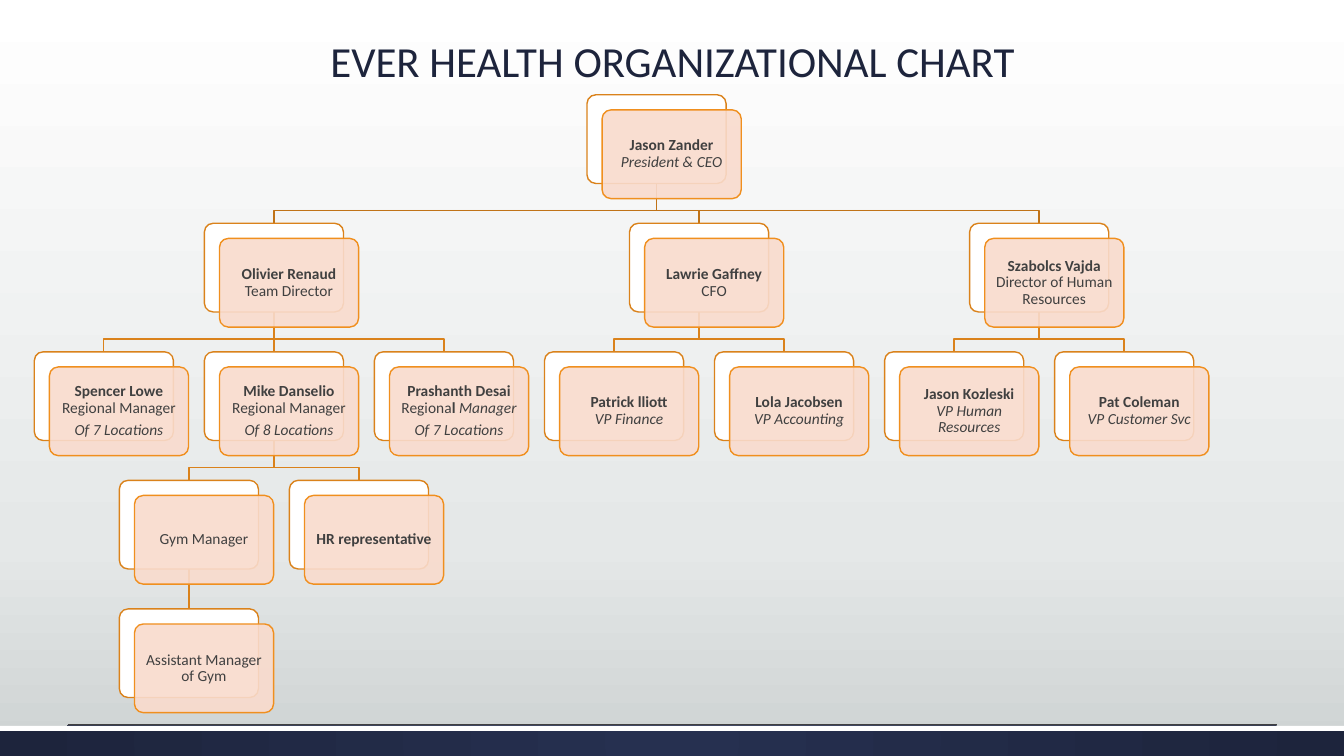
import copy

import pptx
import pptx.dml.color
import pptx.enum.shapes
import pptx.enum.text
import pptx.oxml.ns
import pptx.util
from lxml import etree

Inches, Pt = pptx.util.Inches, pptx.util.Pt
RGBColor = pptx.dml.color.RGBColor
SHAPE = pptx.enum.shapes.MSO_SHAPE
ANCHOR = pptx.enum.text.MSO_ANCHOR
qn = pptx.oxml.ns.qn

WHITE = RGBColor(0xFF, 0xFF, 0xFF)
MIST = RGBColor(0xE5, 0xE8, 0xE8)
SILVER = RGBColor(0xCD, 0xD2, 0xD2)
NAVY = RGBColor(0x1D, 0x24, 0x3C)
SLATE = RGBColor(0x26, 0x30, 0x50)
GRAY = RGBColor(0x40, 0x40, 0x40)
PEACH = RGBColor(0xF9, 0xDB, 0xCD)
ORANGE = RGBColor(0xF0, 0x8F, 0x1E)
AMBER = RGBColor(0xDA, 0x82, 0x1B)
BROWN = RGBColor(0xC0, 0x73, 0x18)

# Chart grid: columns and levels are evenly spaced
LEFT, TOP = 0.34, 0.94
COLUMN_STEP = (10.46 - LEFT) / 6
LEVEL_STEP = (6.04 - TOP) / 4
CARD_WIDTH, CARD_HEIGHT = 1.38, 0.88
FRONT_OFFSET = 0.15
BEND = 0.27

# Each post: key -> (column, level, manager, paragraphs of (text, style))
POSTS = {
    "ceo": (3.25, 0, None, [[("Jason Zander\n", "b"), ("President & CEO", "i")]]),
    "team": (1, 1, "ceo", [[("Olivier Renaud\n", "b"), ("Team Director", "")]]),
    "cfo": (3.5, 1, "ceo", [[("Lawrie Gaffney\n", "b"), ("CFO", "")]]),
    "people": (5.5, 1, "ceo", [[("Szabolcs Vajda\n", "b"),
                                ("Director of Human Resources", "")]]),
    "region 1": (0, 2, "team", [[("Spencer Lowe\n", "b"), ("Regional Manager", "")],
                                [("Of 7 Locations", "i")]]),
    "region 2": (1, 2, "team", [[("Mike Danselio\n", "b"), ("Regional Manager", "")],
                                [("Of 8 Locations", "i")]]),
    "region 3": (2, 2, "team", [[("Prashanth Desai\n", "b"), ("Regiona", ""),
                                 ("l ", "b"), ("Manager", "i")],
                                [("Of 7 Locations", "i")]]),
    "finance": (3, 2, "cfo", [[("Patrick lliott\n", "b"), ("VP Finance", "i")]]),
    "accounting": (4, 2, "cfo", [[("Lola Jacobsen\n", "b"), ("VP Accounting", "i")]]),
    "human": (5, 2, "people", [[("Jason Kozleski\n", "b"), ("VP Human Resources", "i")]]),
    "customer": (6, 2, "people", [[("Pat Coleman\n", "b"), ("VP Customer Svc", "i")]]),
    "gym": (0.5, 3, "region 2", [[("Gym Manager", "")]]),
    "hr": (1.5, 3, "region 2", [[("HR representative", "b")]]),
    "assistant": (0.5, 4, "gym", [[("Assistant Manager of Gym", "")]]),
}


def write(frame, paragraphs, size=11, color=GRAY, font="Calibri",
          anchor=ANCHOR.MIDDLE, inset=0.08, space_after=0):
    """Fill a text frame with centred paragraphs of (text, style) spans."""
    frame.word_wrap = True
    frame.vertical_anchor = anchor
    frame.margin_left = frame.margin_right = Inches(inset)
    frame.margin_top = frame.margin_bottom = Inches(inset)
    for index, spans in enumerate(paragraphs):
        para = frame.add_paragraph() if index else frame.paragraphs[0]
        para.alignment = pptx.enum.text.PP_ALIGN.CENTER
        para.line_spacing = 0.9
        para.space_after = Pt(space_after)
        for text, style in spans:
            span = para.add_run()
            span.text = text.rstrip("\n")
            span.font.name, span.font.size = font, Pt(size)
            span.font.color.rgb = color
            span.font.bold, span.font.italic = "b" in style, "i" in style
            if text.endswith("\n"):
                # The break takes the format of the span before it
                para.add_line_break()
                line_break = para._p.findall(qn("a:br"))[-1]
                line_break.append(copy.deepcopy(span.font._element))


def paint_gradient(fill, owner, stops, radial=False):
    """Give a fill any number of (position, colour) stops."""
    fill.gradient()
    gradient = owner.find(".//" + qn("a:gradFill"))
    gradient.clear()
    stop_list = etree.SubElement(gradient, qn("a:gsLst"))
    for position, color in stops:
        stop = etree.SubElement(stop_list, qn("a:gs"), pos=str(position * 1000))
        etree.SubElement(stop, qn("a:srgbClr"), val=str(color))
    if radial:
        circle = etree.SubElement(gradient, qn("a:path"), path="circle")
        etree.SubElement(circle, qn("a:fillToRect"),
                         l="50000", t="50000", r="50000", b="50000")
    else:
        etree.SubElement(gradient, qn("a:lin"), ang="5400000", scaled="0")


class ChartSlide:
    def __init__(self, deck):
        self.slide = deck.slides.add_slide(deck.slide_layouts[6])
        self.shapes = self.slide.shapes
        self.line_width = Pt(1)

    def background(self, stops):
        paint_gradient(self.slide.background.fill, self.slide.element, stops)

    def box(self, kind, left, top, width, height, fill=None, line=None):
        box = self.shapes.add_shape(kind, Inches(left), Inches(top),
                                    Inches(width), Inches(height))
        box.shadow.inherit = False
        if fill is not None:
            box.fill.solid()
            box.fill.fore_color.rgb = fill
        if line is None:
            box.line.fill.background()
        else:
            box.line.color.rgb = line
            box.line.width = self.line_width
        return box

    def rule(self, left, right, top, color):
        rule = self.shapes.add_connector(
            pptx.enum.shapes.MSO_CONNECTOR.STRAIGHT,
            Inches(left), Inches(top), Inches(right), Inches(top))
        rule.line.color.rgb = color
        rule.line.width = Pt(0.75)
        etree.SubElement(rule.element.spPr, qn("a:effectLst"))

    def title(self, text, left, top, width, height):
        box = self.shapes.add_textbox(Inches(left), Inches(top),
                                      Inches(width), Inches(height))
        write(box.text_frame, [[(text, "")]], size=30.6, color=NAVY,
              anchor=ANCHOR.BOTTOM, inset=0.05)

    def branch(self, points, color):
        corners = [(Inches(x), Inches(y)) for x, y in points]
        builder = self.shapes.build_freeform(*corners[0])
        builder.add_line_segments(corners[1:], close=False)
        branch = builder.convert_to_shape()
        branch.shadow.inherit = False
        branch.fill.background()
        branch.line.color.rgb = color
        branch.line.width = self.line_width

    def card(self, left, top, paragraphs):
        for offset, fill, line in ((0, WHITE, AMBER), (FRONT_OFFSET, PEACH, ORANGE)):
            box = self.box(SHAPE.ROUNDED_RECTANGLE, left + offset, top + offset,
                           CARD_WIDTH, CARD_HEIGHT, fill, line)
            box.adjustments[0] = 0.1
        tint = box.element.spPr.find(qn("a:solidFill")).find(qn("a:srgbClr"))
        etree.SubElement(tint, qn("a:alpha"), val="90000")
        write(box.text_frame, paragraphs, space_after=3.85)


def corner(key):
    column, level = POSTS[key][:2]
    return LEFT + column * COLUMN_STEP, TOP + level * LEVEL_STEP


deck = pptx.Presentation()
deck.slide_width, deck.slide_height = Inches(13.33), Inches(7.5)
page = ChartSlide(deck)

# Background, footer and title
page.background([(0, WHITE), (72, MIST), (100, SILVER)])
footer = page.box(SHAPE.RECTANGLE, 0, 7.2, 13.33, 0.3)
paint_gradient(footer.fill, footer.element, [(0, SLATE), (100, NAVY)], radial=True)
page.box(SHAPE.RECTANGLE, 0, 7.2, 13.33, 0.05, WHITE)
page.rule(0.67, 12.67, 7.19, GRAY)
page.title("EVER HEALTH ORGANIZATIONAL CHART", 1.47, 0.33, 10.4, 0.58)

# Branches from each manager, behind the cards
for key, (column, level, manager, paragraphs) in POSTS.items():
    if manager:
        (start_x, start_y), (end_x, end_y) = corner(manager), corner(key)
        start_x, end_x = start_x + CARD_WIDTH / 2, end_x + CARD_WIDTH / 2
        start_y += CARD_HEIGHT
        bends = [(start_x, start_y + BEND), (end_x, start_y + BEND)]
        page.branch([(start_x, start_y)] + (bends if start_x != end_x else [])
                    + [(end_x, end_y)], BROWN if level == 1 else AMBER)

# Cards
for key, post in POSTS.items():
    page.card(*corner(key), post[3])

deck.save("out.pptx")
